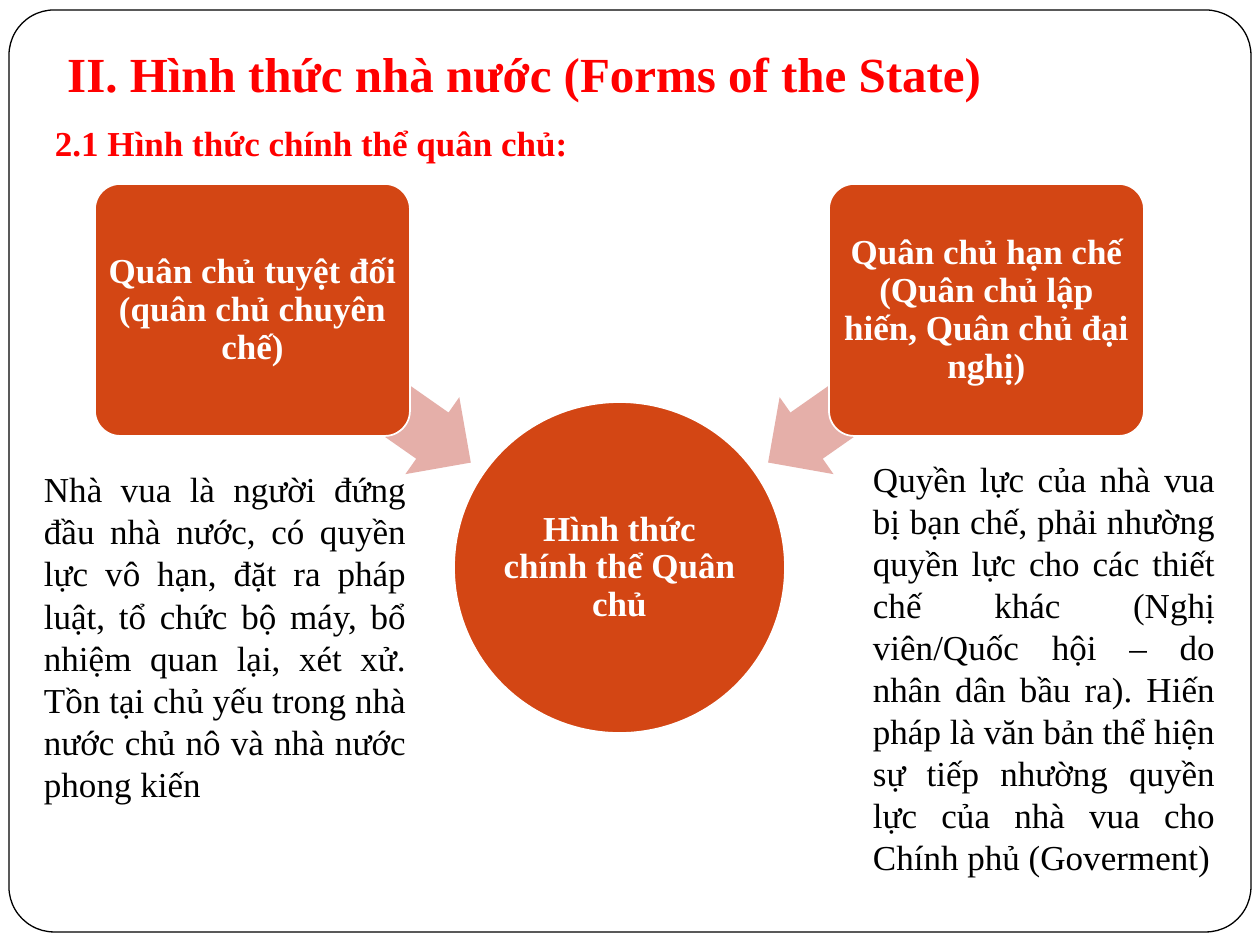
from collections import namedtuple
from dataclasses import dataclass

import pptx
import pptx.dml.color
import pptx.enum.shapes
import pptx.enum.text
import pptx.util

Box = namedtuple("Box", "left top width height")
SHAPES = pptx.enum.shapes.MSO_SHAPE
ALIGN = pptx.enum.text.PP_ALIGN
ANCHOR = pptx.enum.text.MSO_ANCHOR
EMU_PER_PX = 914400 / 126


@dataclass(frozen=True)
class Theme:
    font: str = "Times New Roman"
    heading: str = "FF0000"
    body: str = "000000"
    paper: str = "FFFFFF"
    node: str = "D34614"
    arrow: str = "E5AFA9"
    title_size: int = 28
    text_size: int = 20


THEME = Theme()


def px(length):
    return pptx.util.Emu(round(length * EMU_PER_PX))


def rgb(value):
    return pptx.dml.color.RGBColor.from_string(value)


def within(box, left, top, width, height):
    return Box(box.left + left, box.top + top, width, height)


def write(holder, text, size=THEME.text_size, color=THEME.body, bold=False,
          align=ALIGN.JUSTIFY, anchor=ANCHOR.TOP, spacing=1.0, insets=(13, 6, 13, 6)):
    frame = holder.text_frame
    frame.word_wrap = True
    frame.auto_size = pptx.enum.text.MSO_AUTO_SIZE.NONE
    frame.vertical_anchor = anchor
    (frame.margin_left, frame.margin_top,
     frame.margin_right, frame.margin_bottom) = map(px, insets)
    paragraph = frame.paragraphs[0]
    paragraph.alignment = align
    paragraph.line_spacing = spacing
    run = paragraph.add_run()
    run.text = text
    run.font.name = THEME.font
    run.font.size = pptx.util.Pt(size)
    run.font.bold = bold
    run.font.color.rgb = rgb(color)


def add_figure(slide, kind, box, fill, line=None, line_width=1, adjustments=()):
    figure = slide.shapes.add_shape(kind, *map(px, box))
    figure.shadow.inherit = False
    figure.fill.solid()
    figure.fill.fore_color.rgb = rgb(fill)
    if line:
        figure.line.color.rgb = rgb(line)
        figure.line.width = pptx.util.Pt(line_width)
    else:
        figure.line.fill.background()
    for index, value in enumerate(adjustments):
        figure.adjustments[index] = value
    return figure


def add_text(slide, box, text, **text_format):
    write(slide.shapes.add_textbox(*map(px, box)), text, **text_format)


def add_node(slide, kind, box, text, inset, adjustments=()):
    node = add_figure(slide, kind, box, THEME.node, THEME.paper, adjustments=adjustments)
    write(node, text, color=THEME.paper, bold=True, align=ALIGN.CENTER,
          anchor=ANCHOR.MIDDLE, spacing=0.9, insets=(inset,) * 4)


def add_header(slide, box):
    title = slide.shapes.title
    title.left, title.top, title.width, title.height = map(px, within(box, 0, 0, box.width, 105))
    write(title, " II. Hình thức nhà nước (Forms of the State)", size=THEME.title_size,
          color=THEME.heading, bold=True, align=ALIGN.LEFT, anchor=ANCHOR.BOTTOM,
          insets=(13, 6, 13, 13))
    add_text(slide, within(box, 0, 106, 1144, 73), "2.1 Hình thức chính thể quân chủ:",
             color=THEME.heading, bold=True)


def add_border(slide, box):
    border = add_figure(slide, SHAPES.ROUNDED_RECTANGLE, box, THEME.paper,
                        THEME.body, 0.75, [0.049])
    slide.shapes.title.element.addprevious(border.element)


def add_diagram(slide, box, center, branches):
    circle, arrow_width, branch_width = 331, 267, 315
    add_node(slide, SHAPES.OVAL,
             within(box, (box.width - circle) / 2, box.height - circle, circle, circle),
             center, inset=1)
    sides = ((133, 0, 215),
             (box.width - 133 - arrow_width, box.width - branch_width, 325))
    for (arrow_left, branch_left, rotation), text in zip(sides, branches):
        arrow = add_figure(slide, SHAPES.LEFT_ARROW,
                           within(box, arrow_left, 155, arrow_width, 94),
                           THEME.arrow, adjustments=[0.6, 0.5])
        arrow.rotation = rotation
        add_node(slide, SHAPES.ROUNDED_RECTANGLE,
                 within(box, branch_left, 0, branch_width, 252),
                 text, inset=5, adjustments=[0.1])


def add_explanations(slide, box):
    add_text(slide, within(box, 0, 11, 388, 352),
             "Nhà vua là người đứng đầu nhà nước, có quyền lực vô hạn, đặt ra pháp luật, "
             "tổ chức bộ máy, bổ nhiệm quan lại, xét xử. Tồn tại chủ yếu trong nhà nước "
             "chủ nô và nhà nước phong kiến")
    add_text(slide, within(box, box.width - 368, 0, 368, box.height),
             "Quyền lực của nhà vua bị bạn chế, phải nhường quyền lực cho các thiết chế "
             "khác (Nghị viên/Quốc hội – do nhân dân bầu ra). Hiến pháp là văn bản thể "
             "hiện sự tiếp nhường quyền lực của nhà vua cho Chính phủ (Goverment)")


def main():
    deck = pptx.Presentation()
    deck.slide_width, deck.slide_height = px(1260), px(945)
    slide = deck.slides.add_slide(deck.slide_layouts.get_by_name("Title Only"))
    add_border(slide, Box(9, 10, 1242, 922))
    add_header(slide, Box(42, 10, 1187, 179))
    add_diagram(slide, Box(95, 184, 1049, 549), "Hình thức chính thể Quân chủ",
                ("Quân chủ tuyệt đối (quân chủ chuyên chế)",
                 "Quân chủ hạn chế (Quân chủ lập hiến, Quân chủ đại nghị)"))
    add_explanations(slide, Box(31, 451, 1197, 437))
    deck.save("out.pptx")


if __name__ == "__main__":
    main()
